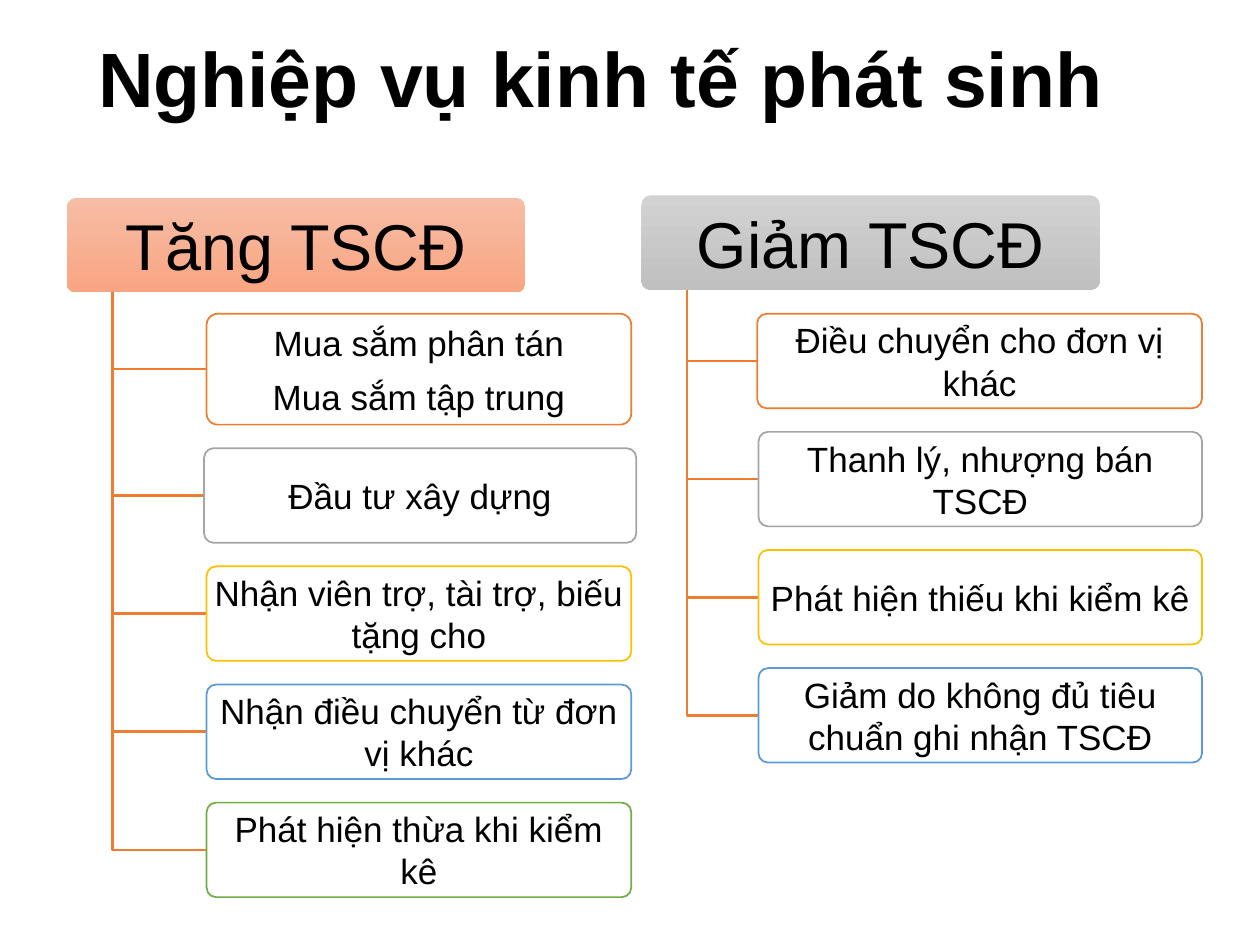
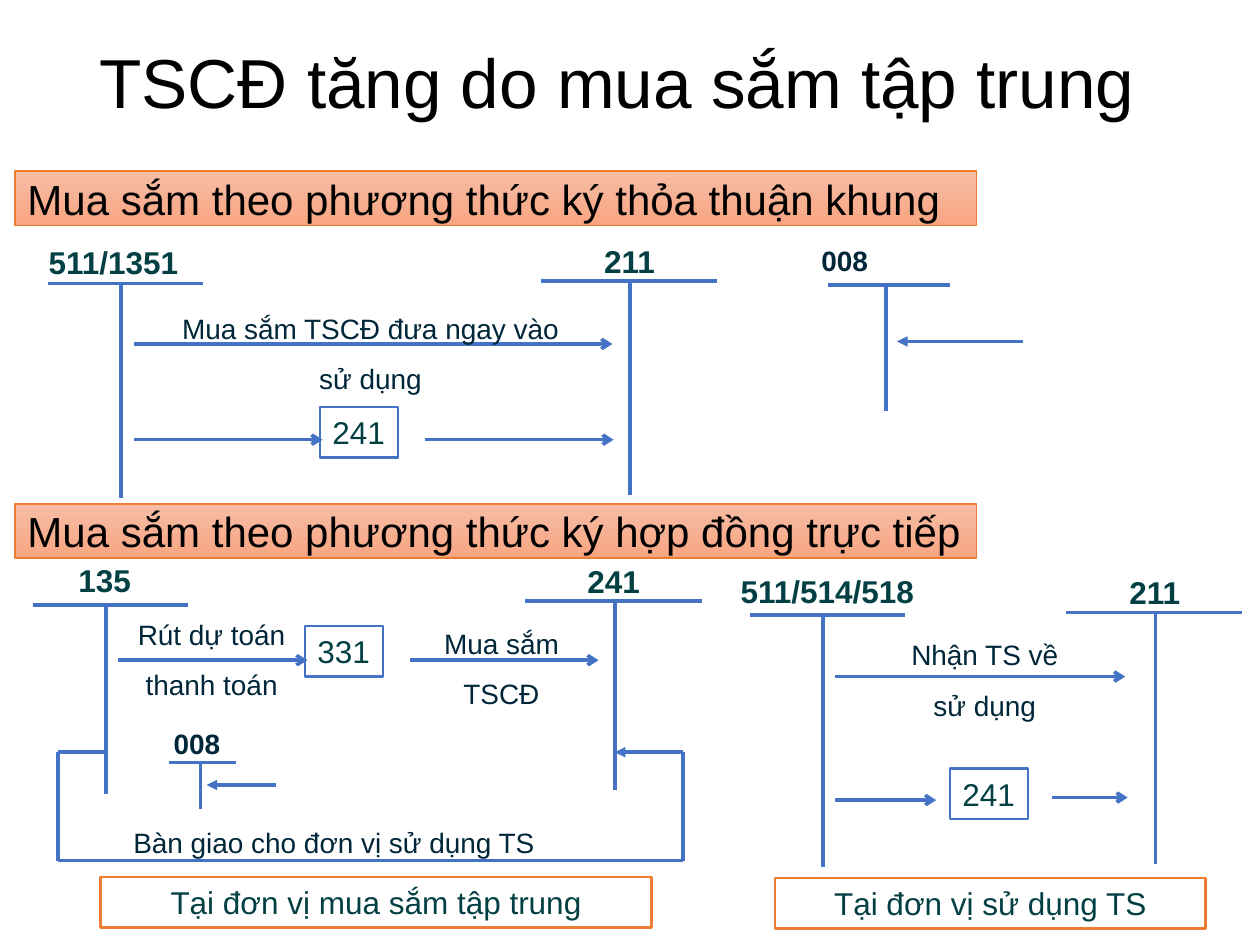
from lxml.etree import SubElement
from pptx import Presentation
from pptx.dml.color import RGBColor
from pptx.enum.shapes import MSO_CONNECTOR, MSO_SHAPE
from pptx.enum.text import MSO_ANCHOR as Anchor, PP_ALIGN as Align
from pptx.oxml.ns import qn
from pptx.util import Inches, Pt

FONT = "Arial"
COLORS = {
    "black": "000000", "white": "FFFFFF", "teal": "034044", "navy": "002639",
    "orange": "ED7D31", "gray": "A5A5A5", "gold": "FFC000", "sky": "5B9BD5",
    "green": "70AD47", "blue": "4472C4",
    "peach": "F7BDA5", "salmon": "F8A582", "silver": "D2D2D2", "ash": "C0C0C0",
}
WARM, COOL = ("peach", "salmon"), ("silver", "ash")
SIDE, EDGE = 0.1, 0.05

STYLES = {
    "title": {"font": {"size": Pt(44), "bold": True}, "para": {"line_spacing": 0.9}},
    "plain title": {"font": {"size": Pt(39.6)}, "para": {"line_spacing": 0.9}},
    "header": {"font": {"size": Pt(37)}, "para": {"alignment": Align.CENTER}},
    "item": {"font": {"size": Pt(20)}, "para": {"alignment": Align.CENTER, "space_after": Pt(7)}},
    "band": {"font": {"size": Pt(24)}, "para": {"alignment": Align.LEFT}},
    "account": {"font": {"size": Pt(18), "bold": True}, "color": "teal",
                "para": {"alignment": Align.CENTER}},
    "through": {"font": {"size": Pt(18)}, "color": "teal", "para": {"alignment": Align.LEFT}},
    "place": {"font": {"size": Pt(18)}, "color": "teal", "para": {"alignment": Align.CENTER}},
    "note": {"font": {"size": Pt(16)}, "color": "navy",
             "para": {"alignment": Align.CENTER, "line_spacing": 1.5}},
    "left note": {"font": {"size": Pt(16)}, "color": "navy",
                  "para": {"alignment": Align.LEFT, "line_spacing": 1.5}},
    "off-sheet": {"font": {"size": Pt(16), "bold": True}, "color": "navy",
                  "para": {"alignment": Align.LEFT, "line_spacing": 1.5}},
}

HEADER_WIDTH, BOX_HEIGHT = 3.64, 0.75
BOX_GAP = BOX_HEIGHT / 4
FIRST_BOX_TOP = 2.49
BRANCHES = [
    {"header": "Tăng TSCĐ", "left": 0.53, "top": 1.57, "shades": WARM, "items": [
        (["Mua sắm phân tán", "Mua sắm tập trung"], "orange", 1.64, 3.37, 0.88),
        (["Đầu tư xây dựng"], "gray", 1.62, 3.43, BOX_HEIGHT),
        (["Nhận viên trợ, tài trợ, biếu tặng cho"], "gold", 1.64, 3.37, BOX_HEIGHT),
        (["Nhận điều chuyển từ đơn vị khác"], "sky", 1.64, 3.37, BOX_HEIGHT),
        (["Phát hiện thừa khi kiểm kê"], "green", 1.64, 3.37, BOX_HEIGHT),
    ]},
    {"header": "Giảm TSCĐ", "left": 5.09, "top": 1.55, "shades": COOL, "items": [
        (["Điều chuyển cho đơn vị khác"], "orange", 6.01, 3.53, BOX_HEIGHT),
        (["Thanh lý, nhượng bán TSCĐ"], "gray", 6.02, 3.52, BOX_HEIGHT),
        (["Phát hiện thiếu khi kiểm kê"], "gold", 6.02, 3.52, BOX_HEIGHT),
        (["Giảm do không đủ tiêu chuẩn ghi nhận TSCĐ"], "sky", 6.02, 3.52, BOX_HEIGHT),
    ]},
]

BANDS = [
    ("Mua sắm theo phương thức ký thỏa thuận khung", 1.36),
    ("Mua sắm theo phương thức ký hợp đồng trực tiếp", 4),
]
T_FORMS = {"source": (1.23, 0.58), "target": (1.4, 0.71),
           "large memo": (0.97, 0.46), "small memo": (0.53, 0.25)}
ACCOUNTS = [
    ("511/1351", "source", "account", 0.38, 2.25, 1.7, (0.28, 1.88, 1.24, 0.4)),
    ("211", "target", "account", 4.29, 2.23, 1.7, (4.69, 1.87, 0.61, 0.4)),
    ("008", "large memo", "off-sheet", 6.57, 2.26, 1, (6.42, 1.75, 1.22, 0.45)),
    ("135", "source", "account", 0.26, 4.8, 1.5, (0.52, 4.4, 0.62, 0.4)),
    ("241", "target", "account", 4.17, 4.77, 1.5, (4.56, 4.41, 0.62, 0.4)),
    ("511/514/518", "source", "account", 5.95, 4.88, 2, (5.77, 4.49, 1.59, 0.4)),
    ("211", "target", "account", 8.46, 4.86, 2, (8.86, 4.5, 0.61, 0.4)),
    ("008", "small memo", "off-sheet", 1.34, 6.05, 0.37, (1.28, 5.58, 0.94, 0.45)),
]
THROUGH_ACCOUNTS = [("241", 2.54, 3.23), ("331", 2.42, 4.97), ("241", 7.54, 6.1)]
FLOWS = [
    (1.06, 4.86, 2.73, "arrow"), (1.06, 2.56, 3.49, "arrow"), (3.37, 4.87, 3.49, "arrow"),
    (8.12, 7.12, 2.71, "triangle"),
    (0.94, 2.44, 5.24, "arrow"), (3.25, 4.75, 5.24, "arrow"),
    (2.19, 1.64, 6.23, "triangle"),
    (6.63, 8.93, 5.37, "arrow"), (6.63, 7.43, 6.35, "arrow"), (8.35, 8.95, 6.33, "arrow"),
]
HANDOVER = [(0.84, 5.97), (0.46, 5.97), (0.46, 6.83), (5.42, 6.83), (5.42, 5.97), (4.88, 5.97)]
NOTES = [
    ("Mua sắm TSCĐ đưa ngay vào sử dụng", "note", (1.22, 2.29, 3.44, 0.86)),
    ("Rút dự toán thanh toán", "note", (0.78, 4.72, 1.8, 0.86)),
    ("Mua sắm TSCĐ", "note", (3.26, 4.79, 1.44, 0.86)),
    ("Bàn giao cho đơn vị sử dụng TS", "left note", (0.96, 6.37, 3.95, 0.45)),
    ("Nhận TS về sử dụng", "note", (7.02, 4.88, 1.59, 0.86)),
]
PLACES = [
    ("Tại đơn vị mua sắm tập trung", (0.8, 6.96, 4.37, 0.4)),
    ("Tại đơn vị sử dụng TS", (6.15, 6.97, 3.42, 0.4)),
]


def rgb(name):
    return RGBColor.from_string(COLORS[name])


def apply(target, values):
    for name, value in values.items():
        setattr(target, name, value)


def write(box, lines, style, anchor=Anchor.TOP, wrap=True, side=SIDE, edge=EDGE):
    form, frame = STYLES[style], box.text_frame
    apply(frame, {"word_wrap": wrap, "vertical_anchor": anchor,
                  "margin_left": Inches(side), "margin_right": Inches(side),
                  "margin_top": Inches(edge), "margin_bottom": Inches(edge)})
    for index, line in enumerate(lines):
        para = frame.add_paragraph() if index else frame.paragraphs[0]
        apply(para, form["para"])
        span = para.add_run()
        span.text = line
        apply(span.font, {"name": FONT, **form["font"]})
        span.font.color.rgb = rgb(form.get("color", "black"))


def add_text(page, place, text, style, **options):
    box = page.shapes.add_textbox(*map(Inches, place))
    write(box, [text], style, **options)


def set_line(shape, color, width):
    shape.line.color.rgb = rgb(color)
    shape.line.width = Pt(width)


def add_box(page, place, fill, line=None, width=1, kind=MSO_SHAPE.RECTANGLE):
    box = page.shapes.add_shape(kind, *map(Inches, place))
    box.shadow.inherit = False
    if kind == MSO_SHAPE.ROUNDED_RECTANGLE:
        box.adjustments[0] = 0.1
    if isinstance(fill, tuple):
        box.fill.gradient()
        box.fill.gradient_angle = 270
        for stop, shade in zip(box.fill.gradient_stops, fill):
            stop.color.rgb = rgb(shade)
    else:
        box.fill.solid()
        box.fill.fore_color.rgb = rgb(fill)
    if line:
        set_line(box, line, width)
    else:
        box.line.fill.background()
    return box


def add_line(page, start, end, tip=None):
    line = page.shapes.add_connector(MSO_CONNECTOR.STRAIGHT, *map(Inches, (*start, *end)))
    set_line(line, "blue", 2)
    if tip:
        SubElement(line.line._get_or_add_ln(), qn("a:tailEnd"), type=tip)
    SubElement(line._element.spPr, qn("a:effectLst"))


def add_elbow(page, trunk, top, left, middle):
    builder = page.shapes.build_freeform(Inches(trunk), Inches(top))
    corners = [(trunk, middle), (left, middle)]
    builder.add_line_segments([(Inches(x), Inches(y)) for x, y in corners], close=False)
    elbow = builder.convert_to_shape()
    elbow.shadow.inherit = False
    elbow.fill.background()
    set_line(elbow, "orange", 1.5)


def add_branch(page, branch):
    rounded = MSO_SHAPE.ROUNDED_RECTANGLE
    left, top = branch["left"], branch["top"]
    header = add_box(page, (left, top, HEADER_WIDTH, BOX_HEIGHT), branch["shades"], kind=rounded)
    write(header, [branch["header"]], "header", Anchor.MIDDLE)
    trunk, bottom = left + HEADER_WIDTH / 10, top + BOX_HEIGHT
    box_top = FIRST_BOX_TOP
    for lines, color, box_left, width, height in branch["items"]:
        add_elbow(page, trunk, bottom, box_left, box_top + height / 2)
        box = add_box(page, (box_left, box_top, width, height), "white", color, kind=rounded)
        write(box, lines, "item", Anchor.MIDDLE, side=0.04, edge=0.03)
        box_top += height + BOX_GAP


def add_account(page, name, form, style, left, top, depth, label):
    width, offset = T_FORMS[form]
    stem = left + offset
    add_line(page, (left, top), (left + width, top))
    add_line(page, (stem, top), (stem, top + depth))
    add_text(page, label, name, style, wrap=style == "off-sheet")


def build_overview(page):
    add_text(page, (0.68, 0.11, 8.62, 1.09), "Nghiệp vụ kinh tế phát sinh", "title",
             anchor=Anchor.MIDDLE)
    for branch in BRANCHES:
        add_branch(page, branch)


def build_entries(page):
    add_text(page, (0.69, 0.15, 8.62, 1.06), "TSCĐ tăng do mua sắm tập trung", "plain title",
             anchor=Anchor.MIDDLE)
    for text, top in BANDS:
        band = add_box(page, (0.12, top, 7.63, 0.43), WARM, "orange")
        write(band, [text], "band", Anchor.MIDDLE)
    for name, left, top in THROUGH_ACCOUNTS:
        box = add_box(page, (left, top, 0.62, 0.4), "white", "blue", 1.5)
        write(box, [name], "through", wrap=False)
    for account in ACCOUNTS:
        add_account(page, *account)
    for start, end, level, tip in FLOWS:
        add_line(page, (start, level), (end, level), tip)
    for start, end in zip(HANDOVER, HANDOVER[1:]):
        add_line(page, start, end, "triangle" if end == HANDOVER[-1] else None)
    for text, style, place in NOTES:
        add_text(page, place, text, style)
    for text, place in PLACES:
        write(add_box(page, place, "white", "orange", 1.5), [text], "place")


def main():
    deck = Presentation()
    deck.slide_width, deck.slide_height = Inches(10), Inches(7.5)
    for build in (build_overview, build_entries):
        build(deck.slides.add_slide(deck.slide_layouts[6]))
    deck.save("out.pptx")


if __name__ == "__main__":
    main()
